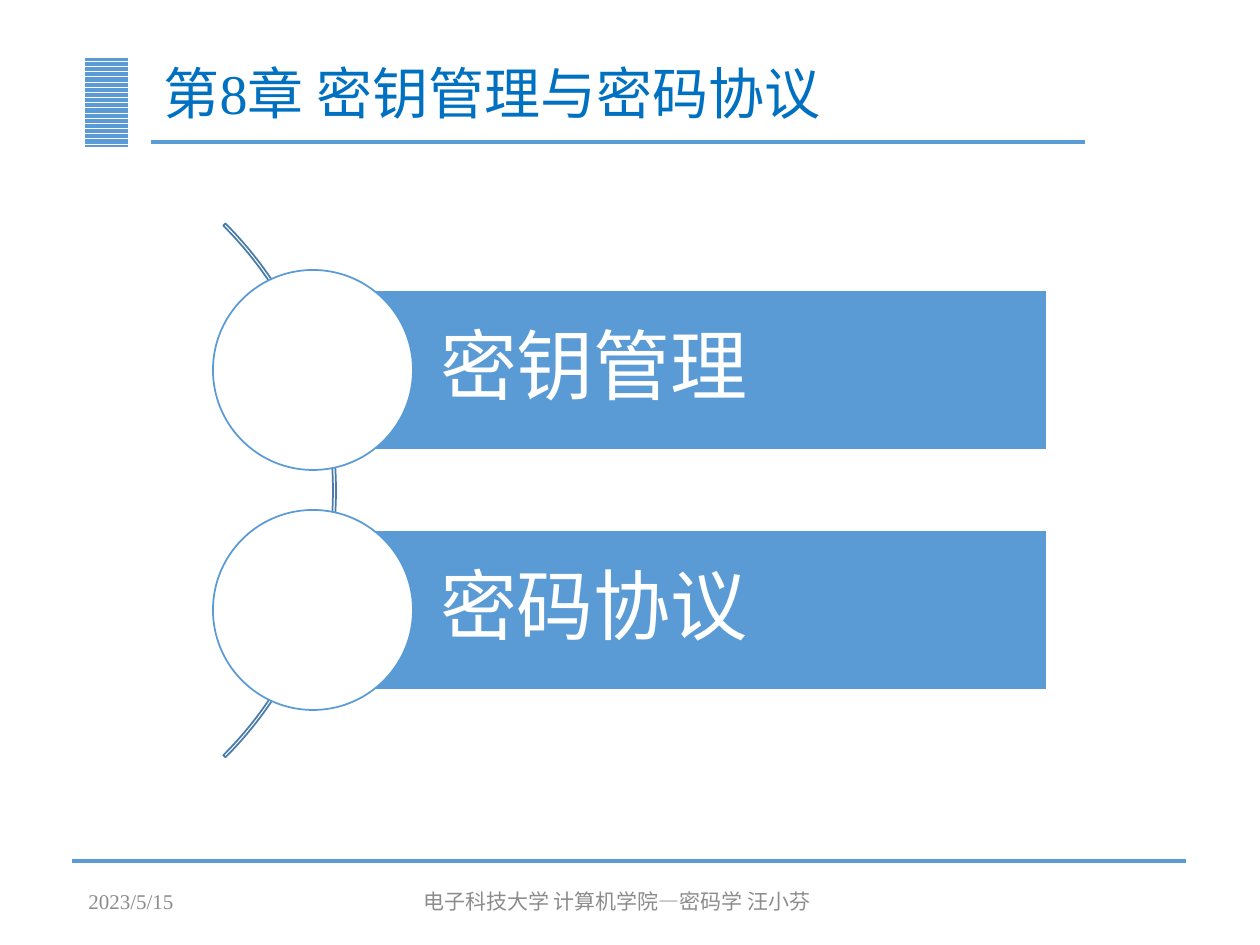
"""Build the chapter 8 opening slide on key management and protocols."""
from dataclasses import dataclass

from lxml import etree
from pptx import Presentation, util as u
from pptx.dml.color import RGBColor as Rgb
from pptx.enum import dml, shapes, text
from pptx.oxml import ns

SCALE = 914400 / 126


@dataclass(frozen=True)
class Theme:
    """Colours, fonts and type sizes."""
    blue: str = "5B9BD5"
    arc: str = "497CAB"
    head: str = "0070C0"
    grey: str = "8C8C8C"
    white: str = "FFFFFF"
    serif: str = "Times New Roman"
    sans: str = "Noto Sans CJK SC"
    title: int = 32
    topic: int = 44
    small: int = 12
    rule: float = 2.25
    edge: int = 1


def px(*vals):
    """Turn pixels into EMU."""
    return [u.Emu(round(v * SCALE)) for v in vals]


class Deck:
    """Holds the theme and the current slide and draws on it."""

    def __init__(self, theme):
        """Open a deck with one title-only slide."""
        self.theme = theme
        self.prs = Presentation()
        self.prs.slide_width, self.prs.slide_height = px(1260, 945)
        self.slide = self.prs.slides.add_slide(self.prs.slide_layouts[5])

    def words(self, shape, line, size, face, color, align="LEFT", inset=None, lead=1.0):
        """Put one styled line of text in a shape."""
        frame = shape.text_frame
        form = {"word_wrap": True, "auto_size": text.MSO_AUTO_SIZE.NONE,
                "vertical_anchor": text.MSO_ANCHOR.MIDDLE}
        if inset:
            sides = ("margin_left", "margin_top", "margin_right", "margin_bottom")
            form.update(zip(sides, px(*inset)))
        for key, val in form.items():
            setattr(frame, key, val)
        para = frame.paragraphs[0]
        para.alignment = getattr(text.PP_ALIGN, align)
        para.line_spacing = lead
        run = para.add_run()
        run.text = line
        for key, val in {"size": u.Pt(size), "name": face, "bold": False}.items():
            setattr(run.font, key, val)
        run.font.color.rgb = Rgb.from_string(color)
        east = etree.SubElement(run._r.get_or_add_rPr(), ns.qn("a:ea"))
        east.set("typeface", self.theme.sans)

    def title(self, box, line):
        """Place and fill the title."""
        shape = self.slide.shapes.title
        for key, val in zip(("left", "top", "width", "height"), px(*box)):
            setattr(shape, key, val)
        look = self.theme
        self.words(shape, line, look.title, look.serif, look.head, lead=0.9)

    def label(self, box, line, align="LEFT"):
        """Add a small grey footer text."""
        look = self.theme
        shape = self.slide.shapes.add_textbox(*px(*box))
        self.words(shape, line, look.small, look.serif, look.grey, align)

    def shape(self, kind, box, fill=None, line=None):
        """Add a preset shape with plain fill and outline."""
        shape = self.slide.shapes.add_shape(getattr(shapes.MSO_SHAPE, kind), *px(*box))
        shape.shadow.inherit = False
        if fill:
            shape.fill.solid()
            shape.fill.fore_color.rgb = Rgb.from_string(fill)
        else:
            shape.fill.background()
        if line:
            shape.line.color.rgb = Rgb.from_string(line)
            shape.line.width = u.Pt(self.theme.edge)
        else:
            shape.line.fill.background()
        return shape

    def stripes(self, box):
        """Add a block of horizontal stripes."""
        fill = self.shape("RECTANGLE", box).fill
        fill.patterned()
        fill.pattern = dml.MSO_PATTERN.DARK_HORIZONTAL
        fill.fore_color.rgb = Rgb.from_string(self.theme.blue)
        fill.back_color.rgb = Rgb.from_string(self.theme.white)

    def rule(self, left, right, y):
        """Add a horizontal rule."""
        line = self.slide.shapes.add_connector(
            shapes.MSO_CONNECTOR.STRAIGHT, *px(left, y, right, y))
        line.line.color.rgb = Rgb.from_string(self.theme.blue)
        line.line.width = u.Pt(self.theme.rule)
        etree.SubElement(line._element.spPr, ns.qn("a:effectLst"))

    def arc(self, box, turns):
        """Add a thin arc given its adjustments."""
        shape = self.shape("BLOCK_ARC", box, line=self.theme.arc)
        for i, turn in enumerate(turns):
            shape.adjustments[i] = turn

    def topic(self, x, y, line):
        """Add a topic bar with a disc, centred on its left end."""
        look = self.theme
        wide, high, disc = 734, 160, 200
        bar = self.shape("RECTANGLE", (x, y - high // 2, wide, high), look.blue, look.white)
        self.words(bar, line, look.topic, look.sans, look.white,
                   inset=(127, 15, 15, 15), lead=0.9)
        half = disc // 2
        self.shape("OVAL", (x - half, y - half, disc, disc), look.white, look.blue)


def main():
    """Draw the slide and save it."""
    deck = Deck(Theme())
    deck.stripes((85, 57, 43, 90))
    deck.rule(151, 1085, 142)
    deck.rule(72, 1186, 861)
    deck.title((151, 50, 934, 92), "第8章 密钥管理与密码协议")
    deck.arc((-419, 113, 755, 755), (189, 27, 0.004))
    for i, line in enumerate(("密钥管理", "密码协议")):
        deck.topic(313, 370 + 240 * i, line)
    deck.label((76, 876, 283, 50), "2023/5/15")
    deck.label((373, 876, 488, 50), "电子科技大学 计算机学院—密码学 汪小芬", "CENTER")
    deck.prs.save("out.pptx")


if __name__ == "__main__":
    main()
